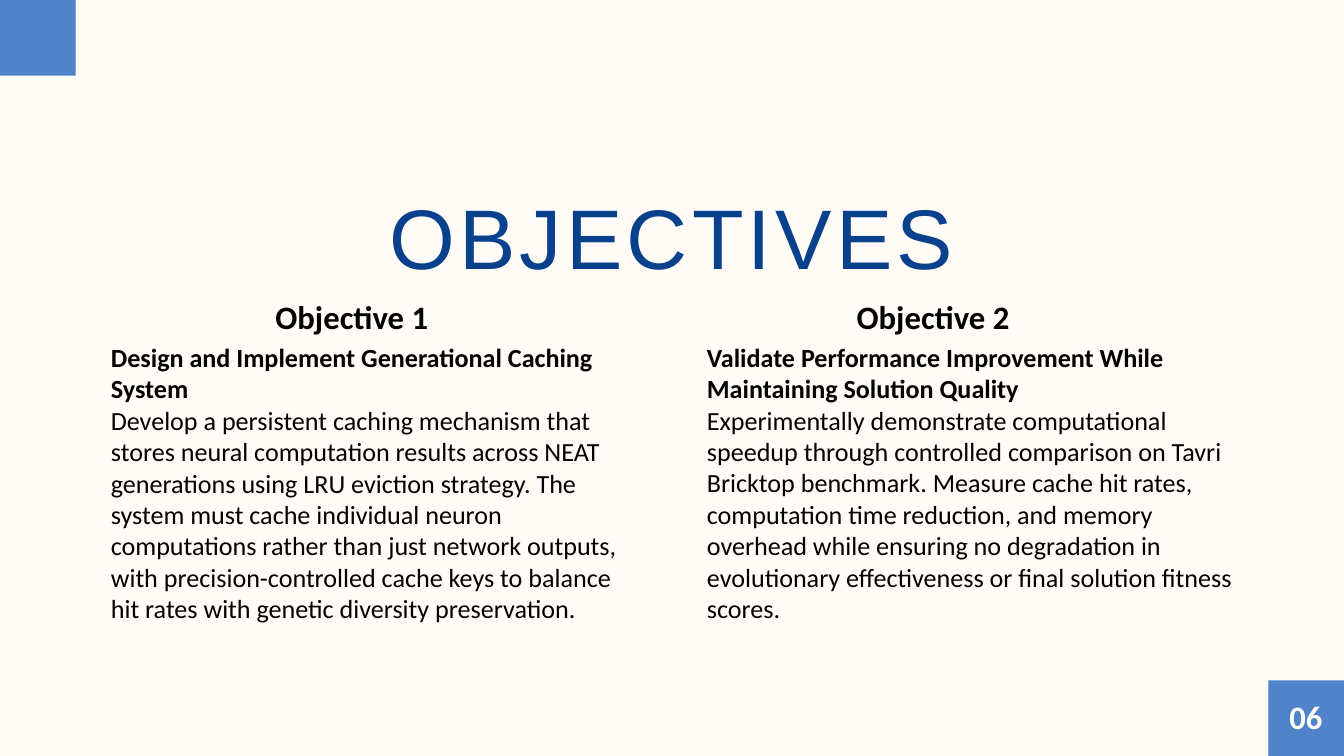
"""Build the objectives slide: a title, two text columns and two corner squares."""
from lxml.etree import SubElement
from pptx import Presentation
from pptx.dml.color import RGBColor
from pptx.enum.shapes import MSO_SHAPE as Shape
from pptx.enum.text import MSO_AUTO_SIZE as AutoSize, PP_ALIGN as Align
from pptx.oxml.ns import qn
from pptx.util import Inches, Pt

CREAM, NAVY, BLUE, BLACK = "FFFBF7", "09418C", "155CBB", "000000"


def color(value):
    return RGBColor.from_string(value)


def add_text(page, place, *texts, size=35, font="Calibri", fill=BLACK, bold=(True,),
             align=Align.CENTER, line=None, spacing=0):
    box = page.shapes.add_textbox(*[Inches(n) for n in place])
    frame = box.text_frame
    frame.word_wrap = True
    frame.auto_size = AutoSize.SHAPE_TO_FIT_TEXT
    frame.margin_left = frame.margin_top = frame.margin_right = frame.margin_bottom = 0
    for index, (text, weight) in enumerate(zip(texts, bold)):
        para = frame.add_paragraph() if index else frame.paragraphs[0]
        para.alignment = align
        if line:
            para.line_spacing = Pt(line)
        span = para.add_run()
        span.text = text
        span.font.size = Pt(size)
        span.font.name = font
        span.font.bold = weight
        span.font.color.rgb = color(fill)
        if spacing:
            span._r.get_or_add_rPr().set("spc", str(int(spacing * 100)))


deck = Presentation()
deck.slide_width, deck.slide_height = Inches(20), Inches(11.25)
page = deck.slides.add_slide(deck.slide_layouts[6])
page.background.fill.solid()
page.background.fill.fore_color.rgb = color(CREAM)

add_text(page, (1.12, 3.01, 17.75, 1.31), "OBJECTIVES", size=90.6, font="Arial",
         fill=NAVY, bold=(False,), line=90.6, spacing=4.5)

objectives = [
    ("Objective 1", 3.08, (1.65, 5.08, 7.9, 4.71),
     "Design and Implement Generational Caching System",
     "Develop a persistent caching mechanism that stores neural computation results "
     "across NEAT generations using LRU eviction strategy. The system must cache "
     "individual neuron computations rather than just network outputs, with "
     "precision-controlled cache keys to balance hit rates with genetic diversity "
     "preservation."),
    ("Objective 2", 11.73, (10.52, 5.08, 7.83, 4.24),
     "Validate Performance Improvement While Maintaining Solution Quality",
     "Experimentally demonstrate computational speedup through controlled comparison "
     "on Tavri Bricktop benchmark. Measure cache hit rates, computation time reduction, "
     "and memory overhead while ensuring no degradation in evolutionary effectiveness "
     "or final solution fitness scores."),
]
for heading, heading_left, body_place, goal, detail in objectives:
    add_text(page, body_place, goal, detail, size=28, bold=(True, False), align=Align.LEFT)
    add_text(page, (heading_left, 4.51, 4.31, 0.5), heading, line=35)

side = 1.125
for left, top in [(20 - side, 11.25 - side), (0, 0)]:
    square = page.shapes.add_shape(Shape.RECTANGLE, Inches(left), Inches(top),
                                   Inches(side), Inches(side))
    square.shadow.inherit = False
    square.line.fill.background()
    square.fill.solid()
    square.fill.fore_color.rgb = color(BLUE)
    tint = square._element.spPr.find(qn("a:solidFill"))[0]
    SubElement(tint, qn("a:alpha")).set("val", "75000")

add_text(page, (18.97, 10.47, 0.93, 0.5), "06", fill=CREAM, line=35)

deck.save("out.pptx")
